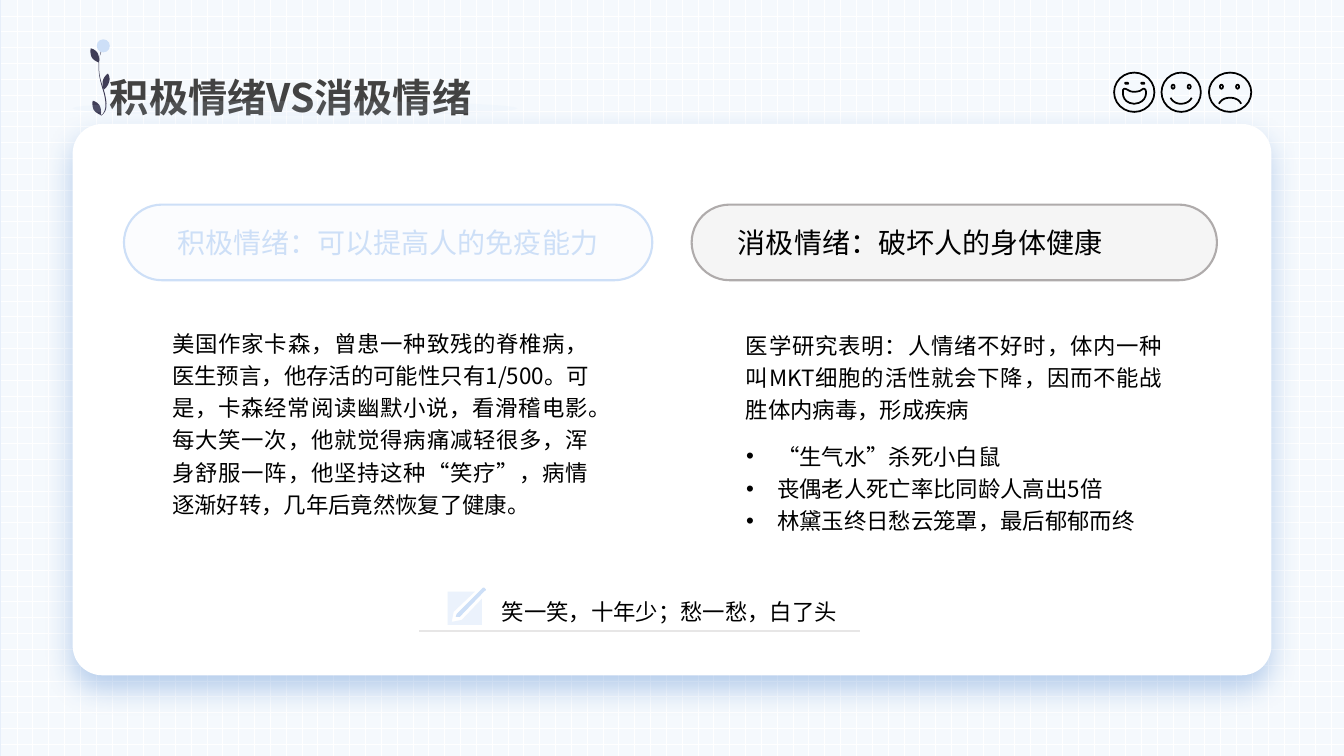
from lxml import etree
from pptx import Presentation
from pptx.dml.color import RGBColor
from pptx.enum.dml import MSO_PATTERN
from pptx.enum.lang import MSO_LANGUAGE_ID
from pptx.enum.shapes import MSO_CONNECTOR, MSO_SHAPE
from pptx.enum.text import MSO_ANCHOR, MSO_AUTO_SIZE, PP_ALIGN
from pptx.oxml.ns import qn
from pptx.util import Inches, Pt

RECTANGLE, ROUNDED, OVAL = MSO_SHAPE.RECTANGLE, MSO_SHAPE.ROUNDED_RECTANGLE, MSO_SHAPE.OVAL
LEFT, JUSTIFY = PP_ALIGN.LEFT, PP_ALIGN.JUSTIFY
TOP, MIDDLE = MSO_ANCHOR.TOP, MSO_ANCHOR.MIDDLE
GROW = MSO_AUTO_SIZE.SHAPE_TO_FIT_TEXT
STRAIGHT = MSO_CONNECTOR.STRAIGHT
DOT_GRID = MSO_PATTERN.DOTTED_GRID
CHINESE = MSO_LANGUAGE_ID.SIMPLIFIED_CHINESE

BLACK = RGBColor(0x00, 0x00, 0x00)
WHITE = RGBColor(0xFF, 0xFF, 0xFF)
TITLE_GRAY = RGBColor(0x42, 0x42, 0x42)
SKY = RGBColor(0xCD, 0xDF, 0xF7)
MIST = RGBColor(0xF5, 0xF9, 0xFD)
PALE_BLUE = RGBColor(0xEB, 0xF2, 0xFC)
LIGHT_GRAY = RGBColor(0xE7, 0xE6, 0xE6)
MID_GRAY = RGBColor(0xAF, 0xAB, 0xAB)
STEM = RGBColor(0x3F, 0x3D, 0x56)
SANS = "Noto Sans CJK SC"

LEAF = [(10, 66), (12, 70, 11, 75, 11, 75), (11, 75, 7, 74, 4, 70),
        (2, 66, 3, 61, 3, 61), (3, 61, 8, 62, 10, 66)]
SIDE_LEAF = [(19, 43), (18, 47, 14, 50, 14, 50), (14, 50, 12, 46, 13, 41),
             (14, 37, 18, 34, 18, 34), (18, 34, 21, 38, 19, 43)]
STALK = [(11, 76), (11, 75), (11, 75, 13, 75, 14, 72), (16, 69, 17, 62, 12, 47),
         (8, 34, 8, 23, 10, 17), (11, 10, 13, 6, 14, 6), (14, 7),
         (14, 7, 12, 10, 10, 17), (9, 23, 8, 34, 13, 47),
         (18, 62, 17, 69, 15, 72), (13, 75, 11, 76, 11, 76)]
PAPER = [(0, 37), (34, 37), (34, 11), (14, 32), (4, 34), (6, 24), (27, 4), (0, 4)]
PEN = [(12, 29), (37, 3), (37, 3, 38, 3, 38, 2), (38, 1, 37, 1, 37, 1),
       (37, 0, 36, 0, 36, 0), (35, 0, 35, 0, 34, 1), (9, 26), (8, 29)]
GRIN = [(31, 17), (30, 16, 30, 15, 26, 18), (23, 19, 22, 19, 20, 19),
        (18, 19, 17, 19, 15, 18), (10, 15, 10, 16, 9, 17),
        (9, 17, 6, 30, 20, 31), (34, 30, 32, 17, 31, 17)]
GRIN_EYE = [(14, 11), (14, 10, 13, 10, 12, 10), (11, 10, 11, 10, 11, 11)]
SMILE = [(9, 25), (11, 29, 15, 31, 19, 31), (24, 31, 28, 29, 30, 25)]
FROWN = [(32, 31), (30, 27, 26, 25, 21, 25), (16, 25, 12, 27, 10, 31)]


def paint(shape, fill=None, line=None, width=1.25, alpha=None):
    """Set fill, outline and opacity of a shape and drop its shadow."""
    shape.shadow.inherit = False
    if fill is None:
        shape.fill.background()
    else:
        shape.fill.solid()
        shape.fill.fore_color.rgb = fill
        if alpha is not None:
            color = shape.fill._xPr.find(f".//{qn('a:srgbClr')}")
            etree.SubElement(color, qn("a:alpha"), val=str(alpha * 1000))
    if line is None:
        shape.line.fill.background()
    else:
        shape.line.color.rgb = line
        shape.line.width = Pt(width)


def add_box(slide, kind, box, **style):
    """Add a painted preset shape."""
    shape = slide.shapes.add_shape(kind, *map(Inches, box))
    paint(shape, **style)
    return shape


def add_curve(slide, left, top, path, closed=True, **style):
    """Draw a path of lines and Bezier curves given in hundredths of an inch."""
    points = [path[0]]
    for segment in path[1:]:
        if len(segment) == 2:
            points.append(segment)
            continue
        nodes = [points[-1], segment[:2], segment[2:4], segment[4:]]
        for step in range(1, 9):
            t = step / 8
            weights = ((1 - t) ** 3, 3 * t * (1 - t) ** 2, 3 * t * t * (1 - t), t ** 3)
            points.append(tuple(sum(w * node[axis] for w, node in zip(weights, nodes))
                                for axis in (0, 1)))
    points = [(Inches(left + x / 100), Inches(top + y / 100)) for x, y in points]
    builder = slide.shapes.build_freeform(*points[0])
    builder.add_line_segments(points[1:], close=closed)
    paint(builder.convert_to_shape(), **style)


def write(shape, lines, size, color=BLACK, font=SANS, bold=False, align=LEFT,
          anchor=TOP, spacing=1.2, wrap=True, insets=(0.1, 0.05, 0.1, 0.05)):
    """Fill a shape with formatted paragraphs."""
    frame = shape.text_frame
    frame.word_wrap = wrap
    frame.vertical_anchor = anchor
    frame.margin_left, frame.margin_top, frame.margin_right, frame.margin_bottom = map(Inches, insets)
    for index, line in enumerate(lines):
        paragraph = frame.add_paragraph() if index else frame.paragraphs[0]
        paragraph.alignment = align
        paragraph.line_spacing = spacing
        paragraph.space_before = Pt(0)
        run = paragraph.add_run()
        run.text = line
        run.font.size, run.font.bold, run.font.name = Pt(size), bold, font
        run.font.color.rgb = color
        run.font.language_id = CHINESE
        etree.SubElement(run.font._element, qn("a:ea"), typeface=SANS)


def add_text(slide, box, lines, size, **style):
    """Add a text box that grows with its text."""
    shape = slide.shapes.add_textbox(*map(Inches, box))
    write(shape, lines, size, **style)
    shape.text_frame.auto_size = GROW


def place(placeholder, box):
    """Move a placeholder to a box and bring it to the front."""
    placeholder.left, placeholder.top, placeholder.width, placeholder.height = map(Inches, box)
    placeholder._element.getparent().append(placeholder._element)


def add_backdrop(slide, width, height):
    """Draw the dotted background and the white card."""
    add_box(slide, RECTANGLE, (0, 0, width, height), fill=SKY, alpha=50)
    grid = add_box(slide, RECTANGLE, (0.01, 0, width, height))
    grid.fill.patterned()
    grid.fill.pattern = DOT_GRID
    grid.fill.fore_color.rgb, grid.fill.back_color.rgb = WHITE, MIST
    card = add_box(slide, ROUNDED, (0.72, 1.23, 11.89, 5.47), fill=WHITE)
    card.adjustments[0] = 0.054
    effects = card._element.spPr.find(qn("a:effectLst"))
    shadow = etree.SubElement(effects, qn("a:outerShdw"), blurRad=str(Pt(20)),
                              dist=str(Pt(10)), dir="5400000", algn="t", rotWithShape="0")
    color = etree.SubElement(shadow, qn("a:srgbClr"), val="1F65C3")
    etree.SubElement(color, qn("a:alpha"), val="30000")


def add_faces(slide, left, top):
    """Draw the laughing, smiling and sad faces in a row."""
    faces = [(0.4, GRIN, True, None), (0.39, SMILE, False, 0.1), (0.42, FROWN, False, 0.11)]
    for index, (width, mouth, closed, eye) in enumerate(faces):
        x = left + index * 0.47
        add_box(slide, OVAL, (x, top, width, 0.39), line=BLACK)
        add_curve(slide, x, top, mouth, closed, line=BLACK)
        for shift in (0, 0.16):
            if eye is None:
                add_curve(slide, x + shift, top, GRIN_EYE, line=BLACK)
            else:
                add_box(slide, OVAL, (x + eye + shift, top + 0.12, 0.03, 0.04), line=BLACK)


def add_flower(slide, left, top):
    """Draw the flower beside the title."""
    for path, x, y in [(SIDE_LEAF, 0, 0), (LEAF, 0, 0), (LEAF, -0.02, -0.52), (STALK, 0, 0)]:
        add_curve(slide, left + x, top + y, path, fill=STEM)
    add_box(slide, OVAL, (left + 0.07, top, 0.13, 0.13), fill=SKY)


def add_title(slide, left, top, text):
    """Place the title with its flower and soft underline."""
    add_flower(slide, left - 0.2, top - 0.26)
    place(slide.shapes.title, (left, top, 6.57, 0.53))
    write(slide.shapes.title, [text], 28, TITLE_GRAY, bold=True, anchor=MIDDLE, insets=(0, 0, 0, 0))
    add_box(slide, OVAL, (left - 0.37, top + 0.35, 4.41, 0.15), fill=SKY, alpha=10)


def add_column(slide, box, heading, indent, fill, line, color, body_box, body):
    """Draw a pill heading and the paragraph below it."""
    pill = add_box(slide, ROUNDED, box, fill=fill, line=line, width=1.5, alpha=40)
    pill.adjustments[0] = 0.5
    write(pill, [heading], 20, color, anchor=MIDDLE, spacing=1.0, insets=(indent, 0.05, 0, 0.05))
    left, top, width, height = body_box
    add_text(slide, (box[0] + left, box[1] + top, width, height), [body], 16, align=JUSTIFY)


def add_examples(placeholder, box, examples):
    """Put the bulleted examples in the body placeholder."""
    place(placeholder, box)
    write(placeholder, examples, 16, align=JUSTIFY, wrap=False)
    placeholder.text_frame.auto_size = GROW
    for paragraph in placeholder.text_frame.paragraphs:
        properties = paragraph._p.get_or_add_pPr()
        properties.set("marL", str(Inches(0.31)))
        properties.set("indent", str(Inches(-0.31)))
        etree.SubElement(properties, qn("a:buFont"), typeface="Arial")
        etree.SubElement(properties, qn("a:buChar"), char="•")


def add_saying(slide, left, top, text):
    """Draw the underlined closing saying with its pencil icon."""
    add_text(slide, (left + 0.72, top, 3.57, 0.4), [text], 16, font="Arial", wrap=False)
    rule = slide.shapes.add_connector(STRAIGHT, *map(Inches, (left, top + 0.43, left + 4.37, top + 0.43)))
    rule.line.color.rgb = LIGHT_GRAY
    rule.line.width = Pt(1)
    etree.SubElement(rule._element.spPr, qn("a:effectLst"))
    for path, color in ((PAPER, PALE_BLUE), (PEN, SKY)):
        add_curve(slide, left + 0.28, top, path, fill=color)


def main():
    """Build and save the slide."""
    presentation = Presentation()
    presentation.slide_width, presentation.slide_height = Inches(13.33), Inches(7.5)
    slide = presentation.slides.add_slide(presentation.slide_layouts[1])
    add_backdrop(slide, 13.33, 7.5)
    add_faces(slide, 11.05, 0.72)
    add_title(slide, 1.09, 0.65, "积极情绪VS消极情绪")
    add_column(slide, (1.23, 2.03, 5.24, 0.75), "积极情绪：可以提高人的免疫能力", 0.42, MIST, SKY, SKY,
               (0.38, 1.14, 4.33, 2.01),
               "美国作家卡森，曾患一种致残的脊椎病，医生预言，他存活的可能性只有1/500。"
               "可是，卡森经常阅读幽默小说，看滑稽电影。每大笑一次，他就觉得病痛减轻很多，"
               "浑身舒服一阵，他坚持这种“笑疗”，病情逐渐好转，几年后竟然恢复了健康。")
    add_column(slide, (6.86, 2.03, 5.21, 0.75), "消极情绪：破坏人的身体健康", 0.35, LIGHT_GRAY, MID_GRAY, BLACK,
               (0.44, 1.16, 4.33, 1.04),
               "医学研究表明：人情绪不好时，体内一种叫MKT细胞的活性就会下降，因而不能战胜体内病毒，形成疾病")
    add_examples(slide.placeholders[1], (7.3, 4.29, 4.11, 1.04),
                 ["“生气水”杀死小白鼠", "丧偶老人死亡率比同龄人高出5倍", "林黛玉终日愁云笼罩，最后郁郁而终"])
    add_saying(slide, 4.16, 5.83, "笑一笑，十年少；愁一愁，白了头")
    presentation.save("out.pptx")


if __name__ == "__main__":
    main()
